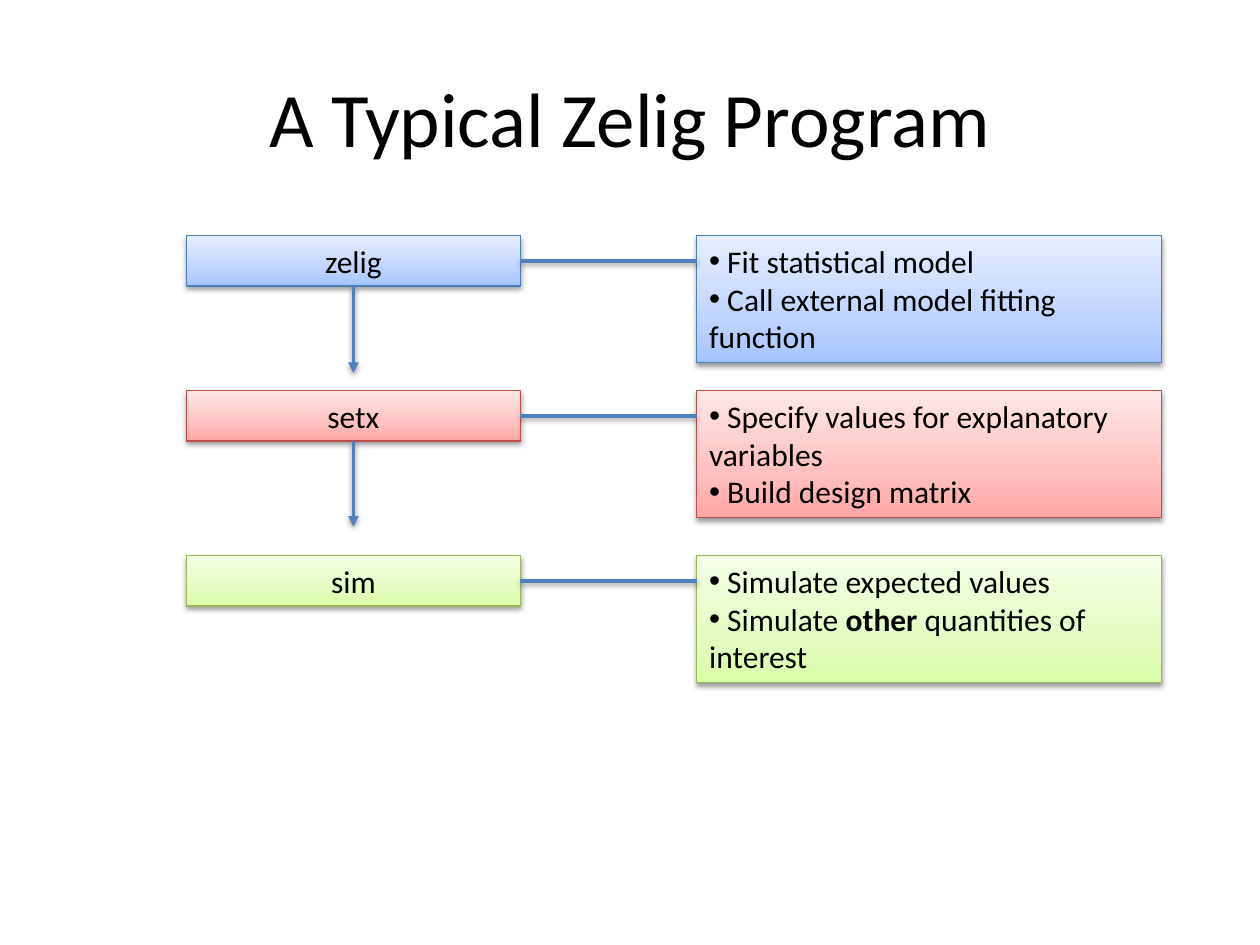
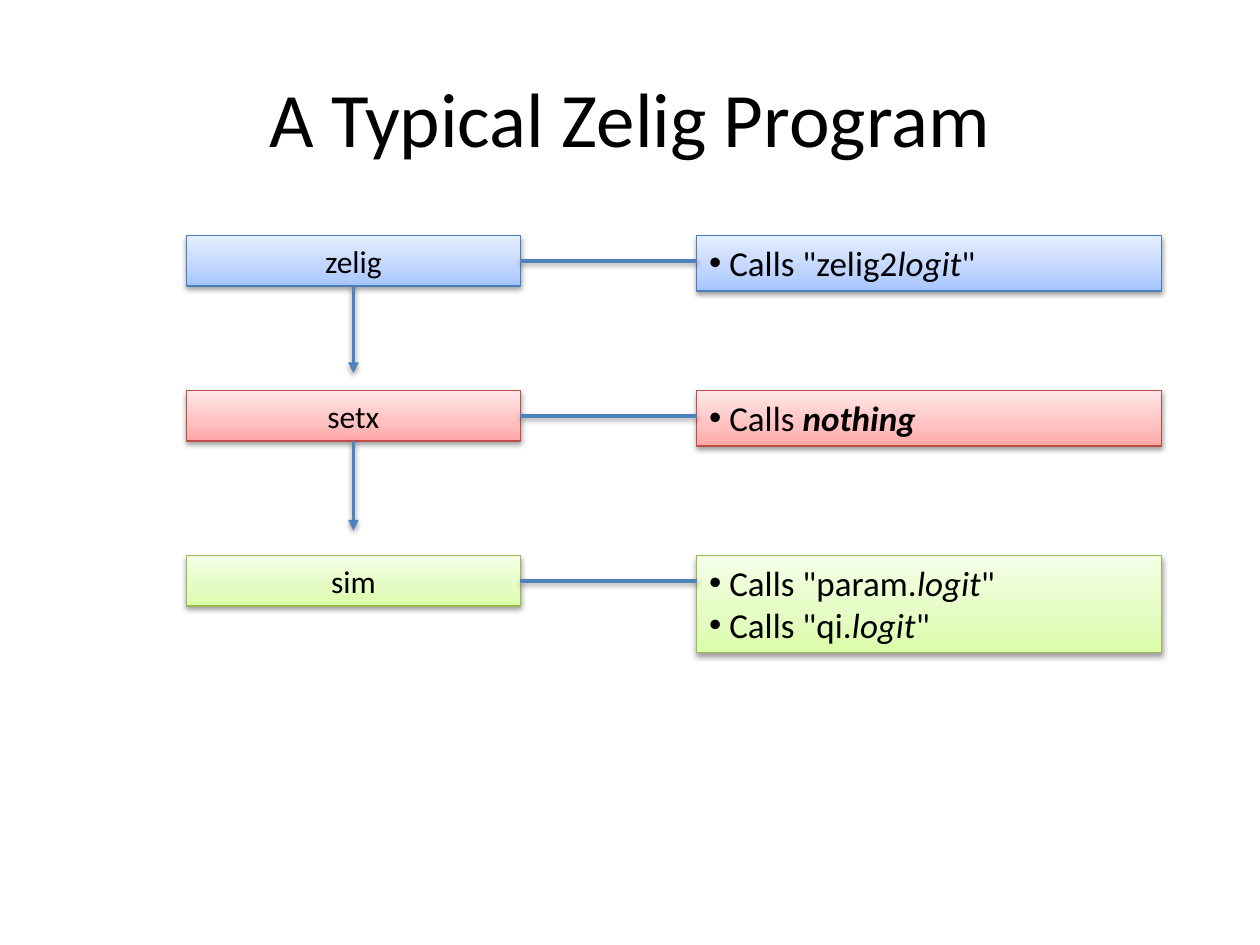
from lxml import etree
from pptx import Presentation
from pptx.dml.color import RGBColor
from pptx.enum.shapes import MSO_CONNECTOR as Connector, MSO_SHAPE as Shape
from pptx.enum.text import MSO_ANCHOR as Anchor, MSO_AUTO_SIZE as AutoSize, PP_ALIGN as Align
from pptx.oxml import parse_xml
from pptx.oxml.ns import nsdecls, qn
from pptx.util import Inches, Pt

FONT = "Calibri"
COLORS = {"text": "000000", "link": "4F81BD", "shadow": "000000"}
# Each step: name, top of its row, outline, gradient from bottom to top
STEPS = [
    ("zelig", 1.87, "4B7EBC", ("A4C4FF", "BFD4FF", "E6EEFF")),
    ("setx", 3.10, "BF4C48", ("FFA6A5", "FFC0BF", "FFE7E7")),
    ("sim", 4.41, "98B955", ("DAFDA7", "E4FCC2", "F5FFE7")),
]
STOPS = (0, 35000, 100000)
STEP_LEFT, STEP_WIDTH, STEP_HEIGHT = 1.48, 2.65, 0.4
NOTE_LEFT, NOTE_WIDTH = 5.53, 3.69
STEP_RIGHT, STEP_MIDDLE = STEP_LEFT + STEP_WIDTH, STEP_LEFT + STEP_WIDTH / 2

# Each slide: note text size, note heights, arrow ends, and notes per step.
# A note is a list of paragraphs; a paragraph is a list of (text, style) spans.
SLIDES = [
    (18, (1.01, 1.01, 1.01), (2.96, 4.18), [
        [[(" Fit statistical model", "")],
         [(" Call external model fitting function", "")]],
        [[(" Specify values for explanatory variables", "")],
         [(" Build design matrix", "")]],
        [[(" Simulate expected values", "")],
         [(" Simulate ", ""), ("other", "b"), (" quantities of interest", "")]],
    ]),
    (20, (0.44, 0.44, 0.77), (2.96, 4.21), [
        [[(' Calls "zelig2', ""), ("logit", "i"), ('"', "")]],
        [[(" Calls ", ""), ("nothing", "bi")]],
        [[(' Calls "param.', ""), ("logit", "i"), ('"', "")],
         [(' Calls "qi.', ""), ("logit", "i"), ('"', "")]],
    ]),
]


def add_shadow(item):
    """Give a box or a line the soft shadow that falls straight down."""
    item.element.spPr.append(parse_xml(
        f'<a:effectLst {nsdecls("a")}><a:outerShdw blurRad="40000" dist="20000" '
        f'dir="5400000" rotWithShape="0"><a:srgbClr val="{COLORS["shadow"]}">'
        '<a:alpha val="38000"/></a:srgbClr></a:outerShdw></a:effectLst>'))


def add_box(page, area, outline, gradient, paragraphs, size, bulleted):
    """Add a gradient box with centred or bulleted paragraphs of spans."""
    box = page.shapes.add_shape(Shape.RECTANGLE, *map(Inches, area))
    box.fill.gradient()
    box.fill.gradient_angle = 90
    stop_list = box.element.spPr.find(qn("a:gradFill")).find(qn("a:gsLst"))
    for stop in list(stop_list):
        stop_list.remove(stop)
    for position, color in zip(STOPS, gradient):
        stop = etree.SubElement(stop_list, qn("a:gs"), pos=str(position))
        etree.SubElement(stop, qn("a:srgbClr"), val=color)
    box.line.color.rgb = RGBColor.from_string(outline)
    box.line.width = Pt(0.75)
    add_shadow(box)

    frame = box.text_frame
    frame.word_wrap = True
    frame.auto_size = AutoSize.SHAPE_TO_FIT_TEXT
    frame.vertical_anchor = Anchor.TOP
    for index, spans in enumerate(paragraphs):
        para = frame.add_paragraph() if index else frame.paragraphs[0]
        para.alignment = Align.LEFT if bulleted else Align.CENTER
        if bulleted:
            properties = para._p.get_or_add_pPr()
            etree.SubElement(properties, qn("a:buFont"), typeface="Arial")
            etree.SubElement(properties, qn("a:buChar"), char="•")
        for text, style in spans:
            span = para.add_run()
            span.text = text
            span.font.name = FONT
            span.font.size = Pt(size)
            span.font.bold = "b" in style
            span.font.italic = "i" in style
            span.font.color.rgb = RGBColor.from_string(COLORS["text"])


deck = Presentation()
deck.slide_width, deck.slide_height = Inches(10), Inches(7.5)
title_only = deck.slide_layouts[5]

for note_size, note_heights, arrow_ends, notes in SLIDES:
    page = deck.slides.add_slide(title_only)
    title = page.shapes.title
    title.left, title.top, title.width, title.height = map(Inches, (0.5, 0.3, 9, 1.25))
    title.text_frame.text = "A Typical Zelig Program"
    title.text_frame.vertical_anchor = Anchor.MIDDLE
    heading = title.text_frame.paragraphs[0]
    heading.alignment = Align.CENTER
    heading.runs[0].font.name = FONT
    heading.runs[0].font.size = Pt(44)
    heading.runs[0].font.color.rgb = RGBColor.from_string(COLORS["text"])

    # Step boxes on the left, notes on the right
    for name, top, outline, gradient in STEPS:
        add_box(page, (STEP_LEFT, top, STEP_WIDTH, STEP_HEIGHT), outline, gradient,
                [[(name, "")]], 18, False)
    for (name, top, outline, gradient), height, note in zip(STEPS, note_heights, notes):
        add_box(page, (NOTE_LEFT, top, NOTE_WIDTH, height), outline, gradient,
                note, note_size, True)

    # Arrows lead down from step to step, plain lines lead across to the notes
    tops = [step[1] for step in STEPS]
    arrows = [(STEP_MIDDLE, top + STEP_HEIGHT, STEP_MIDDLE, end)
              for top, end in zip(tops, arrow_ends)]
    links = [(STEP_RIGHT, top + STEP_HEIGHT / 2, NOTE_LEFT, top + STEP_HEIGHT / 2)
             for top in tops]
    for ends in arrows + links:
        line = page.shapes.add_connector(Connector.STRAIGHT, *map(Inches, ends))
        line.line.color.rgb = RGBColor.from_string(COLORS["link"])
        line.line.width = Pt(2)
        if ends in arrows:
            etree.SubElement(line.element.spPr.find(qn("a:ln")), qn("a:tailEnd"),
                             type="triangle")
        add_shadow(line)

deck.save("out.pptx")
